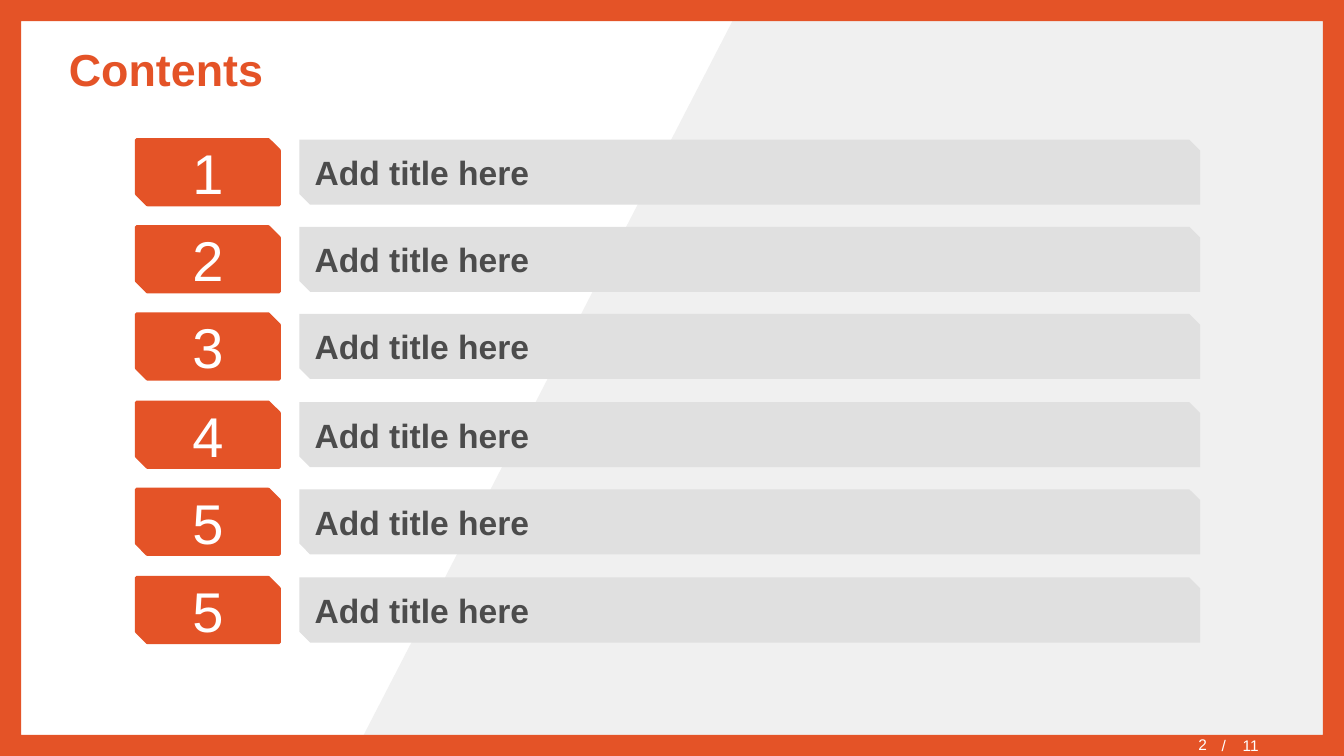
import pptx
import pptx.dml.color
import pptx.enum.shapes
import pptx.enum.text
import pptx.oxml
import pptx.oxml.ns
import pptx.util

PX = 9525  # EMU per px, 96 px to the inch
ORANGE = pptx.dml.color.RGBColor(0xE4, 0x53, 0x27)
PALE_GRAY = pptx.dml.color.RGBColor(0xF0, 0xF0, 0xF0)
BAR_GRAY = pptx.dml.color.RGBColor(0xE0, 0xE0, 0xE0)
TEXT_GRAY = pptx.dml.color.RGBColor(0x4C, 0x4C, 0x4C)
WHITE = pptx.dml.color.RGBColor(0xFF, 0xFF, 0xFF)
SHAPE = pptx.enum.shapes.MSO_SHAPE
ALIGN = pptx.enum.text.PP_ALIGN


def write(shape, text, size, color, align=ALIGN.LEFT, bold=False):
    frame = shape.text_frame
    frame.word_wrap = True
    frame.vertical_anchor = pptx.enum.text.MSO_ANCHOR.MIDDLE
    paragraph = frame.paragraphs[0]
    paragraph.alignment = align
    run = paragraph.add_run()
    run.text = text
    font_format = {"name": "Arial", "size": pptx.util.Pt(size), "bold": bold}
    for name, value in font_format.items():
        setattr(run.font, name, value)
    run.font.color.rgb = color


def paint(shape, fill, line=None):
    shape.shadow.inherit = False
    shape.fill.solid()
    shape.fill.fore_color.rgb = fill
    if line is None:
        shape.line.fill.background()
    else:
        shape.line.color.rgb = line
        shape.line.width = pptx.util.Pt(2.25)


presentation = pptx.Presentation()
presentation.slide_width = 1280 * PX
presentation.slide_height = 720 * PX
slide = presentation.slides.add_slide(presentation.slide_layouts[5])
shapes = slide.shapes

# Slanted background and border
builder = shapes.build_freeform(708, 0, scale=PX)
builder.add_line_segments([(1280, 0), (1280, 720), (336, 720)], close=True)
paint(builder.convert_to_shape(), PALE_GRAY)
border = shapes.add_shape(SHAPE.FRAME, 0, 0, 1280 * PX, 720 * PX)
border.adjustments[0] = 0.028
paint(border, ORANGE)

# Title, brought in front of the background
title = shapes.title
title_place = {"left": 56, "top": 27, "width": 1169, "height": 76}
for name, value in title_place.items():
    setattr(title, name, value * PX)
write(title, "Contents", 32, ORANGE, bold=True)
title.element.getparent().append(title.element)

# Page count: a tab sets the total apart from the slash
total = shapes.add_textbox(1154 * PX, 701 * PX, 126 * PX, 17 * PX)
tabs = pptx.oxml.parse_xml(
    f'<a:tabLst {pptx.oxml.ns.nsdecls("a")}><a:tab pos="{20 * PX}" algn="l"/></a:tabLst>'
)
total.text_frame.paragraphs[0].alignment = ALIGN.LEFT
total.text_frame.paragraphs[0]._p.get_or_add_pPr().append(tabs)
write(total, "/\t11", 11, WHITE)
number = shapes.add_textbox(910 * PX, 703 * PX, 249 * PX, 17 * PX)
number.text_frame.margin_top = 0
write(number, "2", 11, WHITE, ALIGN.RIGHT)

# Contents rows: number tag and title bar
for row, label in enumerate(["1", "2", "3", "4", "5", "5"]):
    top = 133 + row * 417 // 5
    tag = shapes.add_shape(SHAPE.SNIP_2_DIAG_RECTANGLE, 130 * PX, top * PX, 136 * PX, 62 * PX)
    paint(tag, ORANGE, ORANGE)
    write(tag, label, 40, WHITE, ALIGN.CENTER)
    bar = shapes.add_shape(SHAPE.SNIP_2_DIAG_RECTANGLE, 285 * PX, top * PX, 858 * PX, 62 * PX)
    paint(bar, BAR_GRAY)
    write(bar, "Add title here", 24, TEXT_GRAY, bold=True)

presentation.save("out.pptx")
